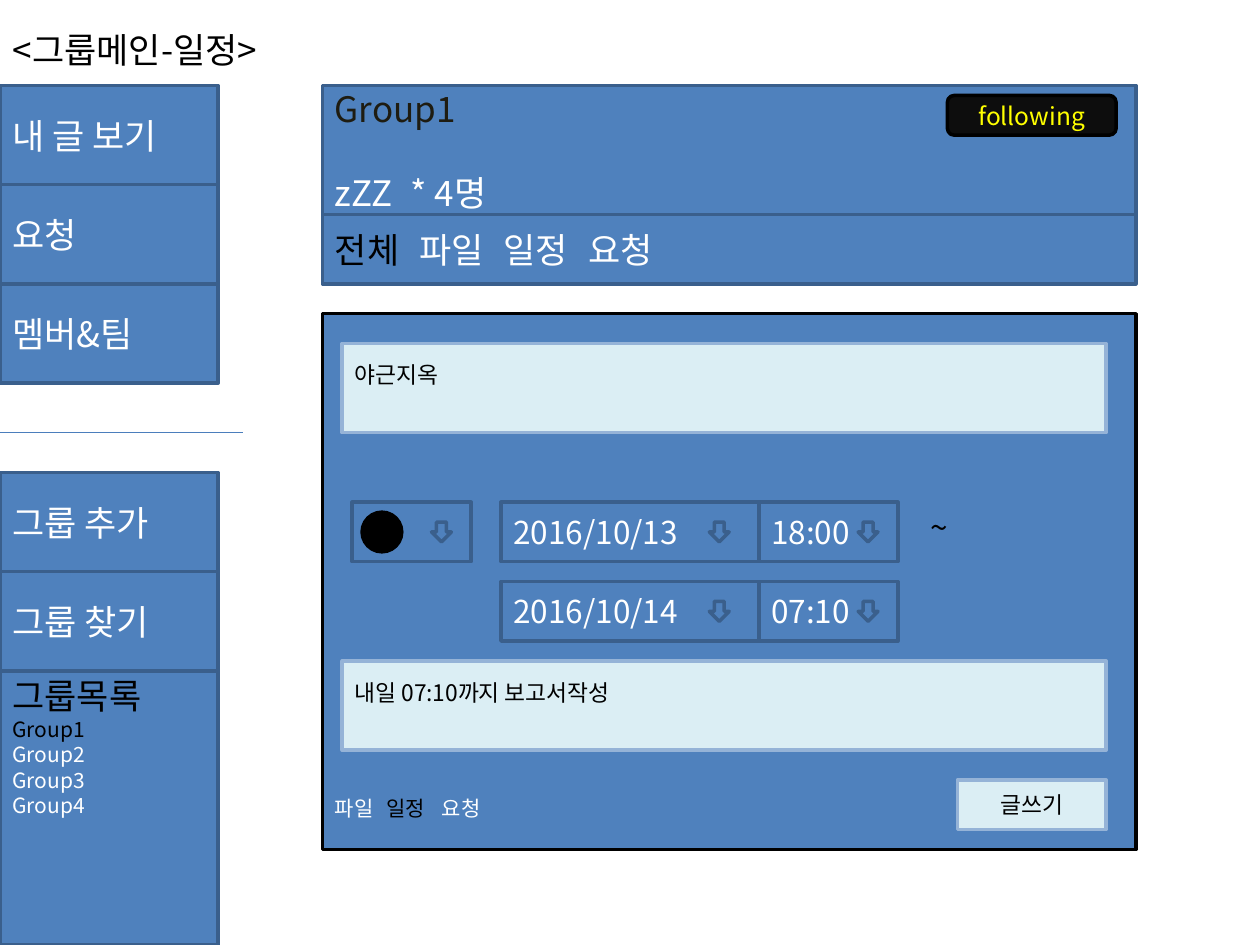
from lxml.etree import SubElement
from pptx import Presentation
from pptx.dml.color import RGBColor
from pptx.enum.shapes import MSO_CONNECTOR, MSO_SHAPE
from pptx.enum.text import MSO_ANCHOR, MSO_AUTO_SIZE, PP_ALIGN
from pptx.oxml.ns import qn
from pptx.util import Inches, Pt

FONT = "Noto Sans CJK KR"
WHITE, BLACK = "FFFFFF", "000000"
color = RGBColor.from_string

# Fill and line of each kind of box
PLAIN = ("4F81BD", "3A5F8C")
PANEL = ("4F81BD", BLACK)
FIELD = ("DBEEF4", "95B3D7")
BADGE = ("0D0D0D", BLACK)
DOT = (BLACK, BLACK)

prs = Presentation()
prs.slide_width, prs.slide_height = Inches(10), Inches(7.5)
slide = prs.slides.add_slide(prs.slide_layouts[5])

# Grid of 254 columns and 190.5 rows; content rows count from TOP
COL = prs.slide_width / 254
ROW = prs.slide_height / 190.5
TOP = 17.25


def write(shape, paragraphs, size=20, align=PP_ALIGN.LEFT, tabs=(), gap=0, **frame_format):
    """Each paragraph is a list of (text, colour) or (text, colour, size) runs."""
    frame = shape.text_frame
    settings = {"word_wrap": True, "auto_size": MSO_AUTO_SIZE.NONE,
                "vertical_anchor": MSO_ANCHOR.MIDDLE, **frame_format}
    for attribute, value in settings.items():
        setattr(frame, attribute, value)
    for index, runs in enumerate(paragraphs):
        paragraph = frame.add_paragraph() if index else frame.paragraphs[0]
        paragraph.alignment = align
        if index and gap:
            paragraph.space_before = Pt(gap)
        if tabs:
            stops = SubElement(paragraph._p.get_or_add_pPr(), qn("a:tabLst"))
            for stop in tabs:
                SubElement(stops, qn("a:tab"), pos=str(Inches(stop)), algn="l")
        for text, hue, *own_size in runs:
            run = paragraph.add_run()
            run.text = text
            font_format = {"name": FONT, "size": Pt(own_size[0] if own_size else size), "bold": False}
            for attribute, value in font_format.items():
                setattr(run.font, attribute, value)
            run.font.color.rgb = color(hue)
            SubElement(run.font._element, qn("a:ea"), typeface=FONT)


def box(col, row, cols, rows, look=PLAIN, preset=MSO_SHAPE.RECTANGLE):
    shape = slide.shapes.add_shape(preset, round(col * COL), round((TOP + row) * ROW),
                                   round(cols * COL), round(rows * ROW))
    shape.shadow.inherit = False
    shape.fill.solid()
    shape.fill.fore_color.rgb = color(look[0])
    shape.line.color.rgb = color(look[1])
    shape.line.width = Pt(2)
    return shape


# Title
title = slide.shapes.title
title_place = {"left": 0, "top": 0, "width": round(231 * COL), "height": round(20 * ROW)}
for attribute, value in title_place.items():
    setattr(title, attribute, value)
write(title, [[("<그룹메인-일정>", BLACK)]])

# Sidebar menu
menu = [(0, "내 글 보기"), (20, "요청"), (40, "멤버&팀"), (78, "그룹 추가"), (98, "그룹 찾기")]
for row, label in menu:
    write(box(0, row, 44, 20), [[(label, WHITE)]])

divider_row = round((TOP + 70) * ROW)
divider = slide.shapes.add_connector(MSO_CONNECTOR.STRAIGHT, 0, divider_row, round(49 * COL), divider_row)
divider.line.color.rgb = color("4B7EBC")
divider.line.width = Pt(0.75)
SubElement(divider._element.spPr, qn("a:effectLst"))

# Group list
groups = [[(f"Group{number}", BLACK if number == 1 else WHITE, 12)] for number in range(1, 5)]
write(box(0, 118, 44, 55.25), [[("그룹목록", BLACK)], *groups],
      vertical_anchor=MSO_ANCHOR.TOP, margin_top=Inches(0.03))

# Group header with tabs below
write(box(65, 0, 164, 26), [[("Group1", "1E1C11")], [("zZZ\t* 4명", WHITE)]], tabs=[0.6], gap=24)
write(box(191, 2, 34, 8, BADGE, MSO_SHAPE.ROUNDED_RECTANGLE),
      [[("following", "FFFF00")]], size=14, align=PP_ALIGN.CENTER)
write(box(65, 26, 164, 14), [[("전체", BLACK), ("\t파일\t일정\t요청", WHITE)]],
      tabs=[0.67, 1.34, 2.01])

# Posting form
write(box(65, 46, 164, 108, PANEL), [[("파일\t", WHITE), ("일정", BLACK), ("\t요청", WHITE)]],
      size=12, tabs=[0.41, 0.85], vertical_anchor=MSO_ANCHOR.BOTTOM, margin_bottom=Inches(0.23))
for row, note in [(52, "야근지옥"), (116, "내일 07:10까지 보고서작성")]:
    write(box(69, row, 154, 18, FIELD), [[(note, BLACK)]], size=13,
          vertical_anchor=MSO_ANCHOR.TOP, margin_top=Inches(0.14))
write(box(193, 140, 30, 10, FIELD), [[("글쓰기", BLACK)]], size=13, align=PP_ALIGN.CENTER)

# Colour picker
box(71, 84, 24, 12)
box(73, 86, 8, 8, DOT, MSO_SHAPE.OVAL)
box(87, 88, 4, 4, preset=MSO_SHAPE.DOWN_ARROW)

# Start and end pickers
for row, date, time in [(84, "2016/10/13", "18:00"), (100, "2016/10/14", "07:10")]:
    for col, cols, arrow_col, value in [(101, 52, 143, date), (153, 28, 173, time)]:
        write(box(col, row, cols, 12), [[(value, WHITE)]], size=18)
        box(arrow_col, row + 4, 4, 4, preset=MSO_SHAPE.DOWN_ARROW)

range_mark = slide.shapes.add_textbox(round(185 * COL), round((TOP + 84) * ROW),
                                      round(9.6 * COL), round(10.2 * ROW))
write(range_mark, [[("~", BLACK)]], size=18, word_wrap=False,
      auto_size=MSO_AUTO_SIZE.SHAPE_TO_FIT_TEXT, vertical_anchor=MSO_ANCHOR.TOP)

prs.save("out.pptx")
